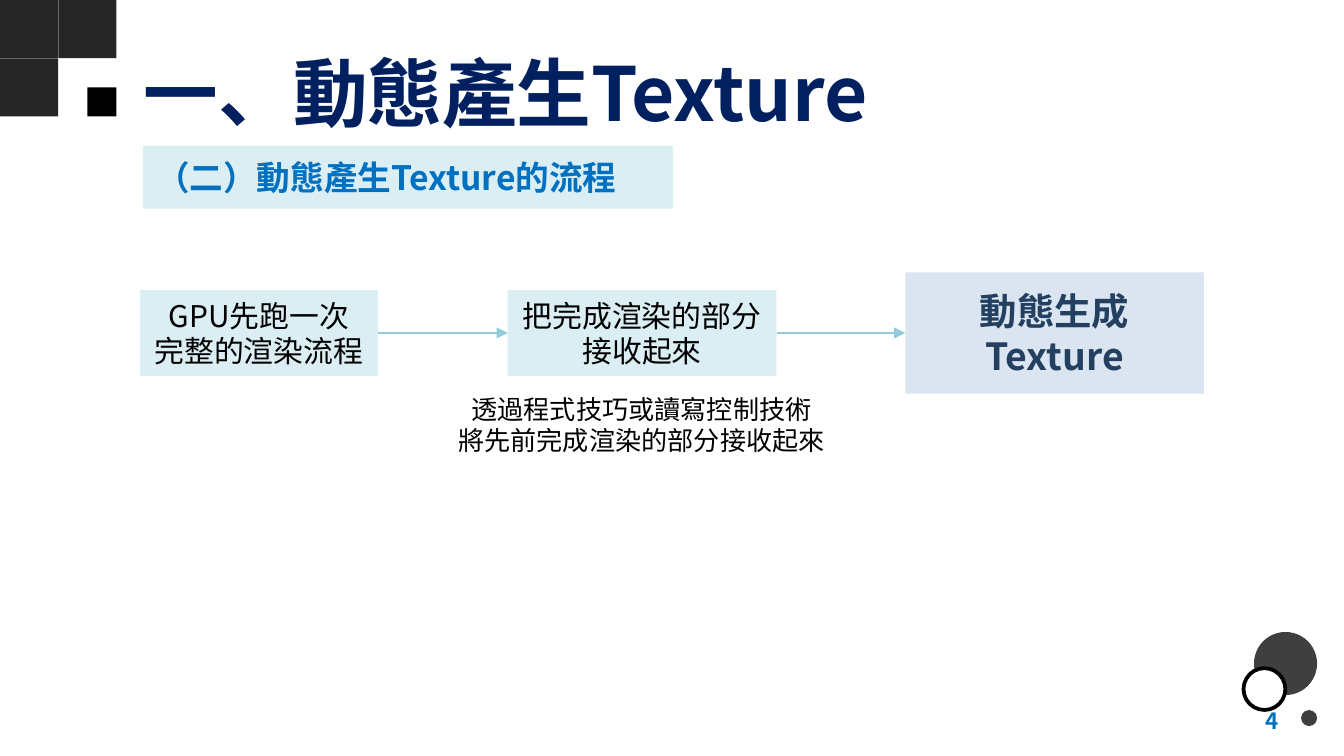
from pptx import Presentation
from pptx.dml.color import RGBColor
from pptx.enum.shapes import MSO_CONNECTOR, MSO_SHAPE
from pptx.enum.text import MSO_ANCHOR, PP_ALIGN
from pptx.oxml.ns import qn
from pptx.util import Pt
from lxml.etree import SubElement

RECT, OVAL = MSO_SHAPE.RECTANGLE, MSO_SHAPE.OVAL
LEFT, MID, RIGHT = PP_ALIGN.LEFT, PP_ALIGN.CENTER, PP_ALIGN.RIGHT
DARK, GREY, BLACK, WHITE = "262626", "3F3F3F", "000000", "FFFFFF"
NAVY, BLUE, PALE, AQUA = "002060", "0070C0", "DAEEF3", "92CCDC"


def color(code):
    return RGBColor.from_string(code)


class Deck:
    face = "Noto Sans CJK TC"

    def __init__(self, slide):
        self.slide = slide

    def shape(self, kind, area, fill, edge=None):
        item = self.slide.shapes.add_shape(kind, *map(Pt, area))
        item.shadow.inherit = False
        item.fill.solid()
        item.fill.fore_color.rgb = color(fill)
        if edge:
            item.line.color.rgb = color(edge)
            item.line.width = Pt(2)
        else:
            item.line.fill.background()
        return item

    def label(self, item, lines, size, ink, bold=False, align=MID, anchor=MSO_ANCHOR.MIDDLE):
        frame = item.text_frame
        frame.word_wrap = True
        frame.vertical_anchor = anchor
        frame.text = "\n".join(lines)
        for para in frame.paragraphs:
            para.alignment = align
            font = para.font
            font.size, font.bold, font.name = Pt(size), bold, self.face
            font.color.rgb = color(ink)
            props = para._p.pPr.find(qn("a:defRPr"))
            SubElement(props, qn("a:ea"), typeface=self.face)

    def text(self, area, lines, size, ink, **style):
        item = self.slide.shapes.add_textbox(*map(Pt, area))
        self.label(item, lines, size, ink, **style)

    def box(self, area, fill, lines, size, ink, **style):
        self.label(self.shape(RECT, area, fill), lines, size, ink, **style)

    def arrow(self, start, end, y):
        item = self.slide.shapes.add_connector(
            MSO_CONNECTOR.STRAIGHT, Pt(start), Pt(y), Pt(end), Pt(y))
        item.line.color.rgb = color(AQUA)
        item.line.width = Pt(0.75)
        props = item._element.spPr
        SubElement(props.find(qn("a:ln")), qn("a:tailEnd"), type="triangle")
        SubElement(props, qn("a:effectLst"))


def main():
    show = Presentation()
    show.slide_width, show.slide_height = Pt(720), Pt(405)
    deck = Deck(show.slides.add_slide(show.slide_layouts[6]))

    deck.text((70, 15, 650, 68), ["一、動態產生Texture"], 40, NAVY, bold=True, align=LEFT)

    unit = 31.2
    for col, row in ((0, 0), (1, 0), (0, 1)):
        deck.shape(RECT, (col * unit, row * unit, unit, unit), DARK)
    deck.shape(RECT, (1.5 * unit, 1.5 * unit, unit / 2, unit / 2), BLACK)

    for x, y, size, fill, edge in (
        (671.8, 338.6, 33.8, GREY, None),
        (697, 380.4, 8.6, GREY, None),
        (666.2, 358, 22.4, WHITE, BLACK),
    ):
        deck.shape(OVAL, (x, y, size, size), fill, edge)
    deck.text((524, 375, 168, 22), ["4"], 12, BLUE, bold=True, align=RIGHT)

    deck.box((76.5, 78, 284, 33.8), PALE, ["（二）動態產生Texture的流程"], 18, BLUE,
             bold=True, align=LEFT)

    mid = 178.4
    steps = (
        (75, 127.5, 46, PALE, ("GPU先跑一次", "完整的渲染流程"), 16, BLACK, False),
        (272, 144, 46, PALE, ("把完成渲染的部分", "接收起來"), 16, BLACK, False),
        (485, 160, 65, "DAE5F1", ("動態生成", "Texture"), 20, "244061", True),
    )
    for x, wide, high, fill, lines, size, ink, bold in steps:
        deck.box((x, mid - high / 2, wide, high), fill, lines, size, ink, bold=bold)
    for step, after in zip(steps, steps[1:]):
        deck.arrow(step[0] + step[1], after[0], mid)

    deck.text((237.5, 207, 212.5, 41), ["透過程式技巧或讀寫控制技術", "將先前完成渲染的部分接收起來"],
              14, BLACK, anchor=MSO_ANCHOR.TOP)

    show.save("out.pptx")


if __name__ == "__main__":
    main()
